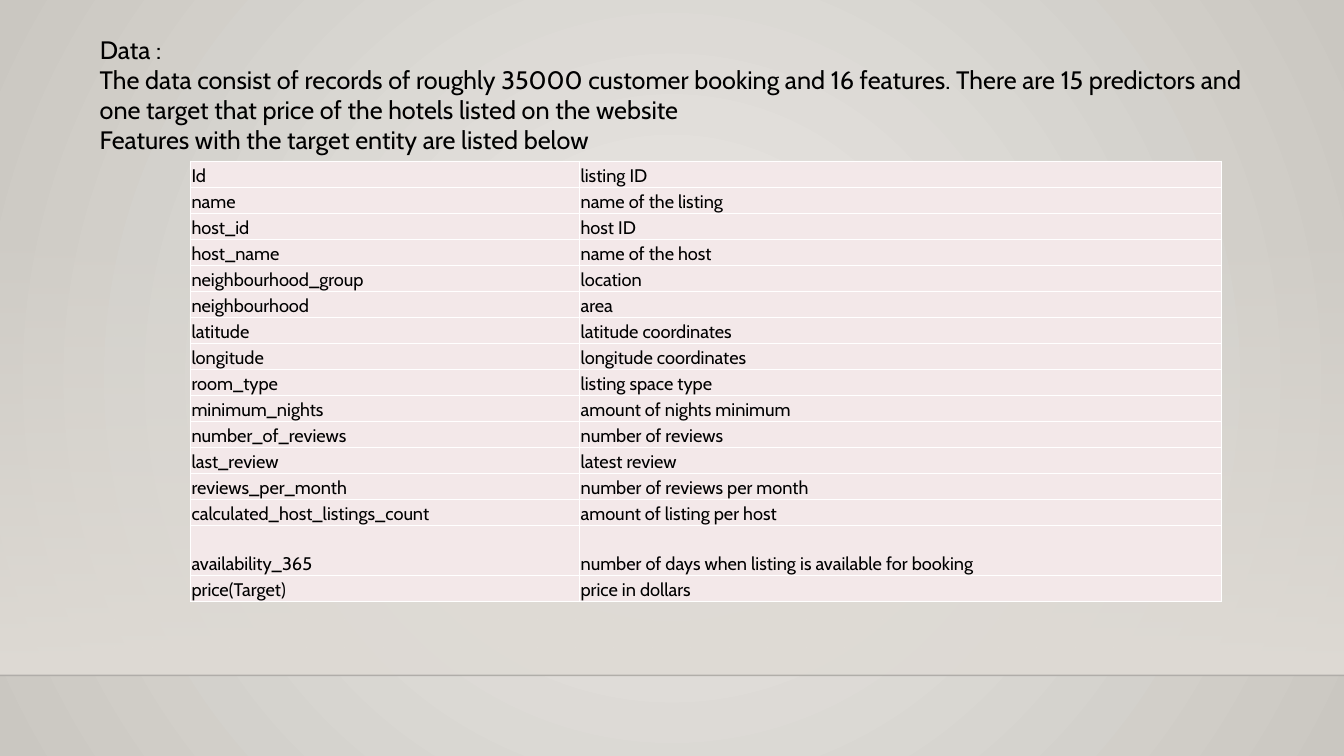
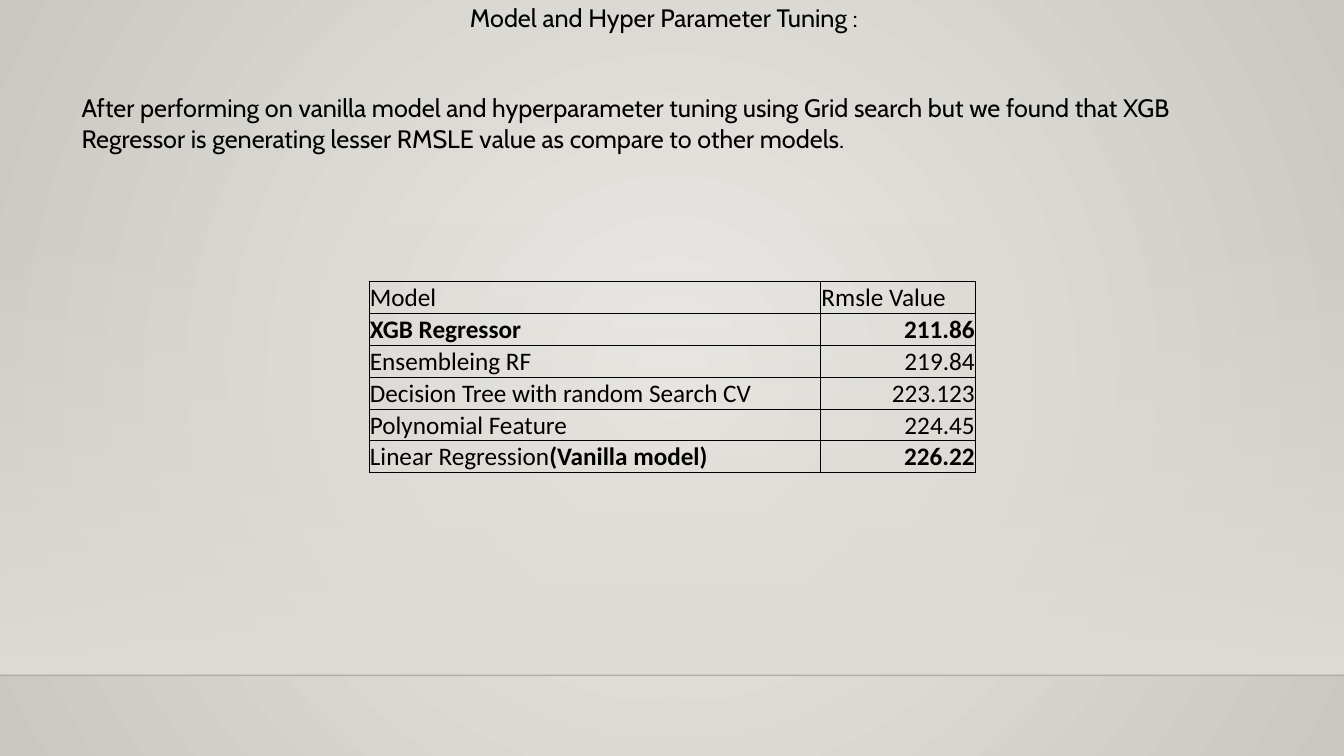
from pptx import Presentation
from pptx.dml.color import RGBColor
from pptx.enum.shapes import MSO_CONNECTOR, MSO_SHAPE
from pptx.enum.text import MSO_ANCHOR, MSO_AUTO_SIZE, PP_ALIGN
from pptx.oxml import parse_xml
from pptx.oxml.ns import nsdecls
from pptx.util import Inches, Pt

LEFT, RIGHT = PP_ALIGN.LEFT, PP_ALIGN.RIGHT
TOP, BOTTOM = MSO_ANCHOR.TOP, MSO_ANCHOR.BOTTOM
FIXED = MSO_AUTO_SIZE.NONE
RECT, LINE = MSO_SHAPE.RECTANGLE, MSO_CONNECTOR.STRAIGHT
NS = nsdecls("a")
INK, SAND, ROSE = "000000", "DFDBD5", "F3E8E9"
hue = RGBColor.from_string

deck = Presentation()
deck.slide_width, deck.slide_height = Inches(13.33), Inches(7.5)
WIDE, HIGH = deck.slide_width, deck.slide_height


def share(*parts):
    return [round(part * side / 100) for part, side in zip(parts, (WIDE, HIGH) * 2)]


def write(frame, *lines, size=18, font="Cabin", align=LEFT, anchor=TOP):
    frame.word_wrap = True
    frame.vertical_anchor = anchor
    for num, line in enumerate(lines):
        para = frame.add_paragraph() if num else frame.paragraphs[0]
        para.alignment = align
        for part, words in enumerate(line.split("*")):
            if words:
                run = para.add_run()
                run.text = words
                run.font.size, run.font.name = Pt(size), font
                run.font.bold = part % 2 == 1
                run.font.color.rgb = hue(INK)


pages = [
    dict(
        title="Data :",
        head=(6.68, 3.87, 86.63, 5.33),
        lines=[
            "The data consist of records of roughly 35000 customer booking and 16 features. "
            "There are 15 predictors and one target that price of the hotels listed on the website",
            "Features with the target entity are listed below",
        ],
        body=(6.68, 7.83, 86.63, 13.5),
        grid=(14.18, 21.33, 76.73, 58.27),
        cols=(28.95, 47.78),
        tall={14: 6.67},
        look=dict(size=13, font="Cabin"),
        edge=("FFFFFF", 1),
        fill=ROSE,
        flush=LEFT,
        rows=[
            ("Id", "listing ID"),
            ("name", "name of the listing"),
            ("host_id", "host ID"),
            ("host_name", "name of the host"),
            ("neighbourhood_group", "location"),
            ("neighbourhood", "area"),
            ("latitude", "latitude coordinates"),
            ("longitude", "longitude coordinates"),
            ("room_type", "listing space type"),
            ("minimum_nights", "amount of nights minimum"),
            ("number_of_reviews", "number of reviews"),
            ("last_review", "latest review"),
            ("reviews_per_month", "number of reviews per month"),
            ("calculated_host_listings_count", "amount of listing per host"),
            ("availability_365", "number of days when listing is available for booking"),
            ("price(Target)", "price in dollars"),
        ],
    ),
    dict(
        title="Model and Hyper Parameter Tuning :",
        head=(34.22, -0.4, 32, 5.33),
        lines=[
            "After performing on vanilla model and hyperparameter tuning using Grid search "
            "but we found that XGB Regressor is generating lesser RMSLE value as compare to other models."
        ],
        body=(5.33, 11.6, 89.33, 9.47),
        grid=(27.45, 37.2, 45.15, 25.33),
        cols=(33.6, 11.55),
        tall={},
        look=dict(size=18, font="Calibri"),
        edge=(INK, 0.5),
        fill=None,
        flush=RIGHT,
        rows=[
            ("Model", "Rmsle Value"),
            ("*XGB Regressor", "*211.86"),
            ("Ensembleing RF", "219.84"),
            ("Decision Tree with random Search CV", "223.123"),
            ("Polynomial Feature", "224.45"),
            ("Linear Regression*(Vanilla model)", "*226.22"),
        ],
    ),
]

plain = deck.slide_layouts[5]
slides = [deck.slides.add_slide(plain) for page in pages]

master = deck.slide_master
master.background.fill.gradient()
band = slides[0].shapes.add_shape(RECT, *share(0, 29.47, 100, 59.87))
band.shadow.inherit = False
band.line.fill.background()
band.fill.gradient()
rule = slides[0].shapes.add_connector(LINE, *share(0, 89.33, 100, 89.33))
rule.line.width = Pt(1)
rule.line.color.rgb = hue("000001")
rule.element.xpath(".//a:ln//a:srgbClr")[0].append(parse_xml(f'<a:alpha {NS} val="20000"/>'))
rule.element.spPr.append(parse_xml(f"<a:effectLst {NS}/>"))

round_way = '<a:path path="circle"><a:fillToRect l="50000" t="50000" r="50000" b="50000"/></a:path>'
down_way = '<a:lin ang="5400000" scaled="0"/>'
for host, first, last, clear, way in (
    (master, "ECEAE7", "CAC7C1", 100, round_way),
    (band, SAND, SAND, 0, down_way),
):
    old = host.element.xpath(".//a:gradFill")[0]
    new = parse_xml(
        f'<a:gradFill {NS} rotWithShape="1"><a:gsLst>'
        f'<a:gs pos="0"><a:srgbClr val="{first}"><a:alpha val="{clear * 1000}"/></a:srgbClr></a:gs>'
        f'<a:gs pos="100000"><a:srgbClr val="{last}"/></a:gs></a:gsLst>{way}</a:gradFill>'
    )
    old.getparent().replace(old, new)

for num, part in enumerate((band, rule)):
    part.element.xpath(".//p:cNvPr")[0].set("id", str(101 + num))
    master.shapes.element.insert(2 + num, part.element)

for slide, page in zip(slides, pages):
    title = slide.shapes.title
    title.left, title.top, title.width, title.height = share(*page["head"])
    title.text_frame.auto_size = FIXED
    write(title.text_frame, page["title"])
    write(slide.shapes.add_textbox(*share(*page["body"])).text_frame, *page["lines"])

    rows, tall = page["rows"], page["tall"]
    table = slide.shapes.add_table(len(rows), 2, *share(*page["grid"])).table
    table.first_row = table.horz_banding = False
    for col, wide in zip(table.columns, page["cols"]):
        col.width = round(WIDE * wide / 100)
    step = (page["grid"][3] - sum(tall.values())) / (len(rows) - len(tall))
    tint, thick = page["edge"]
    for r, row in enumerate(rows):
        table.rows[r].height = round(HIGH * tall.get(r, step) / 100)
        for c, words in enumerate(row):
            cell = table.cell(r, c)
            cell.margin_left = cell.margin_right = cell.margin_top = Inches(0.01)
            cell.margin_bottom = 0
            cell.vertical_anchor = BOTTOM
            for side in "LRTB":
                cell._tc.get_or_add_tcPr().append(parse_xml(
                    f'<a:ln{side} {NS} w="{Pt(thick)}"><a:solidFill>'
                    f'<a:srgbClr val="{tint}"/></a:solidFill></a:ln{side}>'
                ))
            if page["fill"]:
                cell.fill.solid()
                cell.fill.fore_color.rgb = hue(page["fill"])
            else:
                cell.fill.background()
            align = page["flush"] if r and c else LEFT
            write(cell.text_frame, words, align=align, anchor=BOTTOM, **page["look"])
            cell.vertical_anchor = BOTTOM

deck.save("out.pptx")
